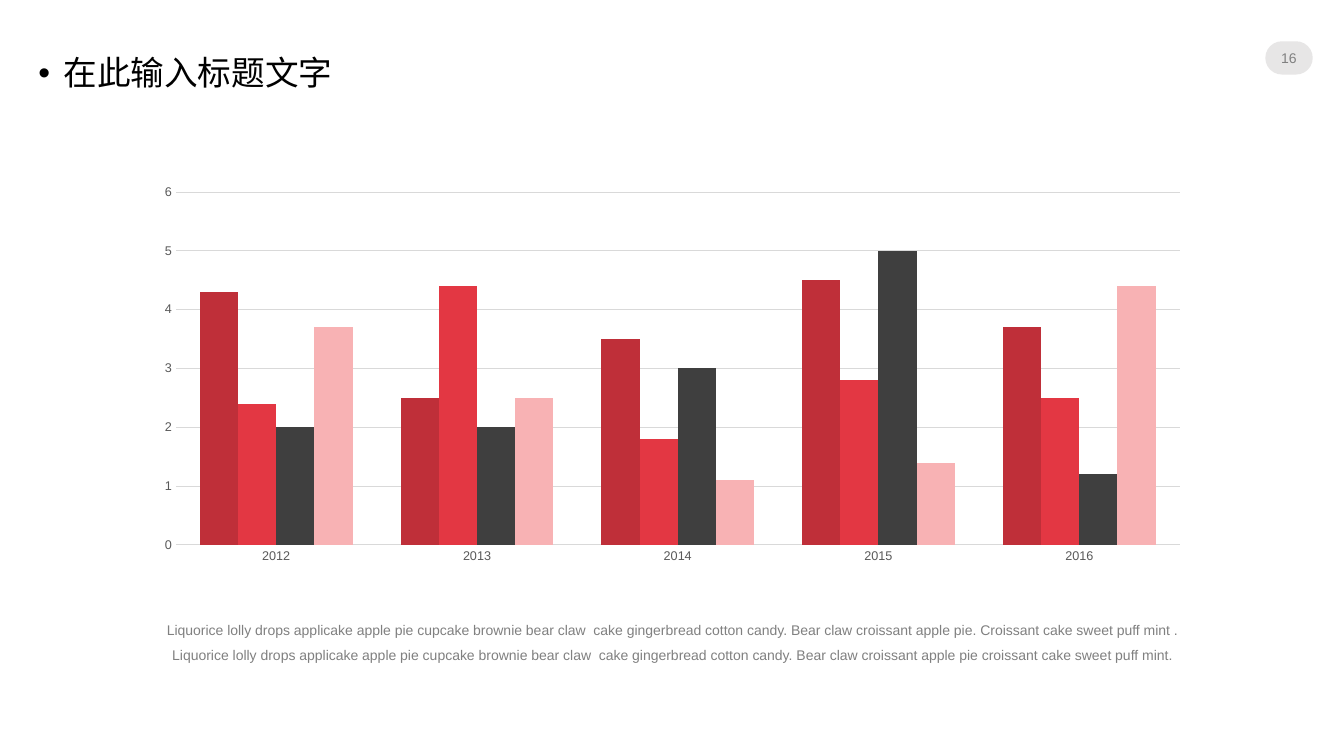
import pptx
import pptx.util
import pptx.dml.color
import pptx.chart.data
import pptx.enum.chart
import pptx.enum.shapes
import pptx.enum.text
import pptx.oxml
import pptx.oxml.ns

Inches, Pt = pptx.util.Inches, pptx.util.Pt
RGBColor = pptx.dml.color.RGBColor
ALIGN = pptx.enum.text.PP_ALIGN
ANCHOR = pptx.enum.text.MSO_ANCHOR
TICK = pptx.enum.chart.XL_TICK_MARK
qn = pptx.oxml.ns.qn

BLACK = RGBColor(0x00, 0x00, 0x00)
GREY = RGBColor(0x80, 0x80, 0x80)
LABEL = RGBColor(0x59, 0x59, 0x59)
GRID = RGBColor(0xD9, 0xD9, 0xD9)
PILL = RGBColor(0xE7, 0xE6, 0xE6)
CRIMSON = RGBColor(0xBF, 0x2F, 0x39)
RED = RGBColor(0xE3, 0x37, 0x43)
CHARCOAL = RGBColor(0x3F, 0x3F, 0x3F)
PINK = RGBColor(0xF8, 0xB2, 0xB4)

NO_MARGINS = dict.fromkeys(("margin_left", "margin_right", "margin_top", "margin_bottom"), 0)
YEARS = ["2012", "2013", "2014", "2015", "2016"]
SERIES = [
    ("Series 1", (4.3, 2.5, 3.5, 4.5, 3.7), CRIMSON),
    ("Series 2", (2.4, 4.4, 1.8, 2.8, 2.5), RED),
    ("Series 3", (2, 2, 3, 5, 1.2), CHARCOAL),
    ("Series 4", (3.7, 2.5, 1.1, 1.4, 4.4), PINK),
]
PLOT_AREA = {"x": 0.03, "y": 0.04, "w": 0.95, "h": 0.9}
CAPTION = (
    "Liquorice lolly drops applicake apple pie cupcake brownie bear claw  cake gingerbread "
    "cotton candy. Bear claw croissant apple pie. Croissant cake sweet puff mint . "
    "Liquorice lolly drops applicake apple pie cupcake brownie bear claw  cake gingerbread "
    "cotton candy. Bear claw croissant apple pie croissant cake sweet puff mint."
)


def assign(target, values):
    for name, value in values.items():
        setattr(target, name, value)


class SlideBuilder:
    font = "Arial"

    def __init__(self, prs):
        self.slide = prs.slides.add_slide(prs.slide_layouts[5])

    def style_font(self, font, size, color):
        assign(font, {"name": self.font, "size": Pt(size), "bold": False})
        font.color.rgb = color

    def set_text(self, sp, text, size, color, frame, para):
        tf = sp.text_frame
        assign(tf, {"word_wrap": True, "auto_size": pptx.enum.text.MSO_AUTO_SIZE.NONE, **frame})
        p = tf.paragraphs[0]
        assign(p, para)
        r = p.add_run()
        r.text = text
        self.style_font(r.font, size, color)
        return p

    def title(self, box, text):
        sp = self.slide.shapes.title
        assign(sp, dict(zip(("left", "top", "width", "height"), map(Inches, box))))
        p = self.set_text(sp, text, 24, BLACK, {"vertical_anchor": ANCHOR.TOP},
                          {"alignment": ALIGN.LEFT, "line_spacing": 0.9, "space_before": Pt(10)})
        pPr = p._p.get_or_add_pPr()
        pPr.set("marL", str(Inches(0.25)))
        pPr.set("indent", str(Inches(-0.25)))
        for tag, key, value in (("a:buFont", "typeface", self.font), ("a:buChar", "char", "•")):
            bullet = pptx.oxml.parse_xml(f"<{tag} {pptx.oxml.ns.nsdecls('a')}/>")
            bullet.set(key, value)
            pPr.append(bullet)

    def page_number(self, box, text):
        sp = self.slide.shapes.add_shape(
            pptx.enum.shapes.MSO_SHAPE.ROUNDED_RECTANGLE, *map(Inches, box))
        sp.adjustments[0] = 0.5
        sp.shadow.inherit = False
        sp.fill.solid()
        sp.fill.fore_color.rgb = PILL
        sp.line.fill.background()
        self.set_text(sp, text, 10, GREY, {"vertical_anchor": ANCHOR.MIDDLE, **NO_MARGINS},
                      {"alignment": ALIGN.CENTER})

    def caption(self, box, text):
        sp = self.slide.shapes.add_textbox(*map(Inches, box))
        self.set_text(sp, text, 10, GREY, NO_MARGINS,
                      {"alignment": ALIGN.CENTER, "line_spacing": 1.5, "space_before": Pt(7.5)})

    def column_chart(self, box, categories, series):
        data = pptx.chart.data.CategoryChartData()
        data.categories = categories
        for name, values, _ in series:
            data.add_series(name, values)
        chart = self.slide.shapes.add_chart(
            pptx.enum.chart.XL_CHART_TYPE.COLUMN_CLUSTERED, *map(Inches, box), data).chart
        assign(chart, {"has_legend": False, "has_title": False})
        self.style_font(chart.font, 10, BLACK)
        plot = chart.plots[0]
        assign(plot, {"gap_width": 126, "overlap": 0, "vary_by_categories": False})
        for ser, (_, _, color) in zip(plot.series, series):
            ser.format.fill.solid()
            ser.format.fill.fore_color.rgb = color
        cat, val = chart.category_axis, chart.value_axis
        for axis in (cat, val):
            assign(axis, {"major_tick_mark": TICK.NONE, "minor_tick_mark": TICK.NONE})
            self.style_font(axis.tick_labels.font, 9, LABEL)
        assign(val, {"minimum_scale": 0, "maximum_scale": 6, "major_unit": 1,
                     "has_major_gridlines": True})
        val.format.line.fill.background()
        for line in (cat.format.line, val.major_gridlines.format.line):
            line.color.rgb = GRID
            line.width = Pt(0.75)
        self.place_plot(chart)

    def place_plot(self, chart):
        area = chart._chartSpace.chart.plotArea
        for old in area.findall(qn("c:layout")):
            area.remove(old)
        modes = '<c:layoutTarget val="inner"/><c:xMode val="edge"/><c:yMode val="edge"/>'
        sizes = "".join(f'<c:{key} val="{value}"/>' for key, value in PLOT_AREA.items())
        area.insert(0, pptx.oxml.parse_xml(
            f"<c:layout {pptx.oxml.ns.nsdecls('c')}><c:manualLayout>{modes}{sizes}"
            "</c:manualLayout></c:layout>"))


prs = pptx.Presentation()
assign(prs, {"slide_width": Inches(13.33), "slide_height": Inches(7.5)})
s = SlideBuilder(prs)
s.title((0.28, 0.51, 4.17, 0.46), "在此输入标题文字")
s.page_number((12.55, 0.41, 0.47, 0.33), "16")
s.column_chart((1.43, 1.75, 10.48, 3.89), YEARS, SERIES)
s.caption((1.55, 6.08, 10.23, 0.68), CAPTION)
prs.save("out.pptx")
